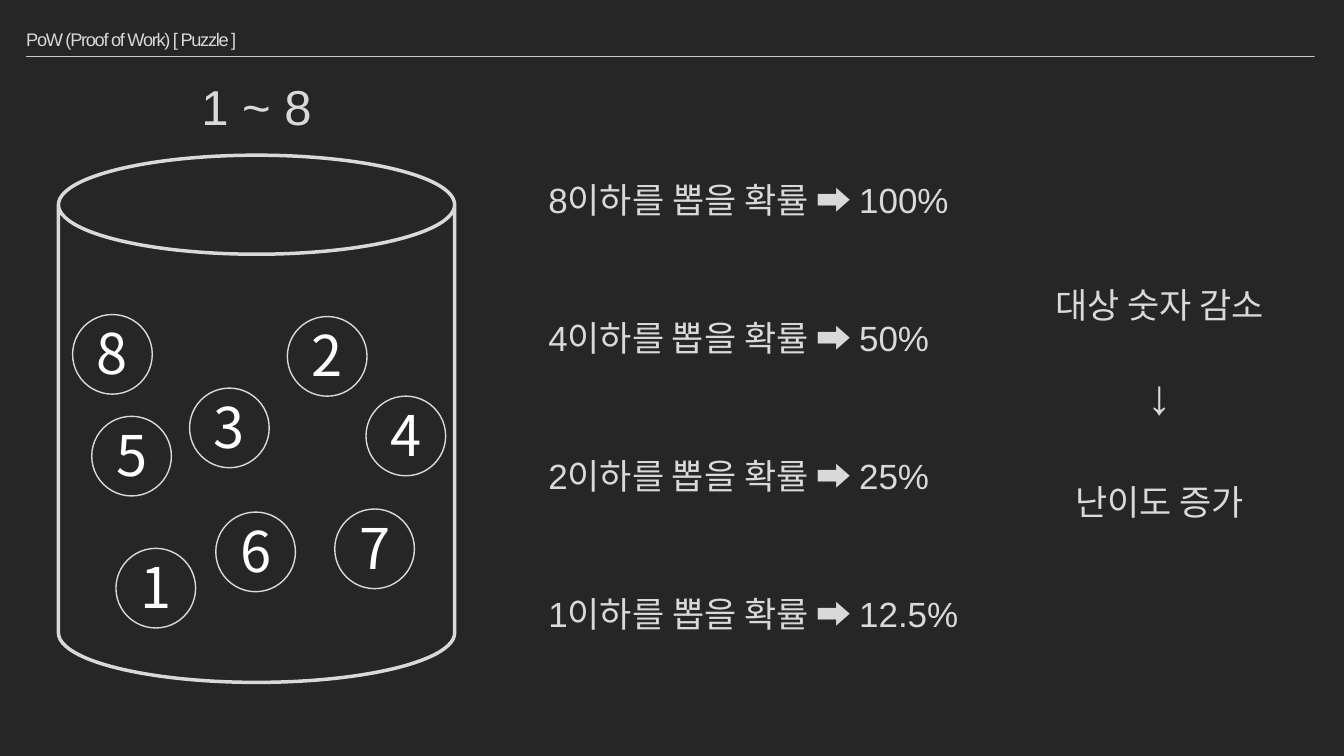
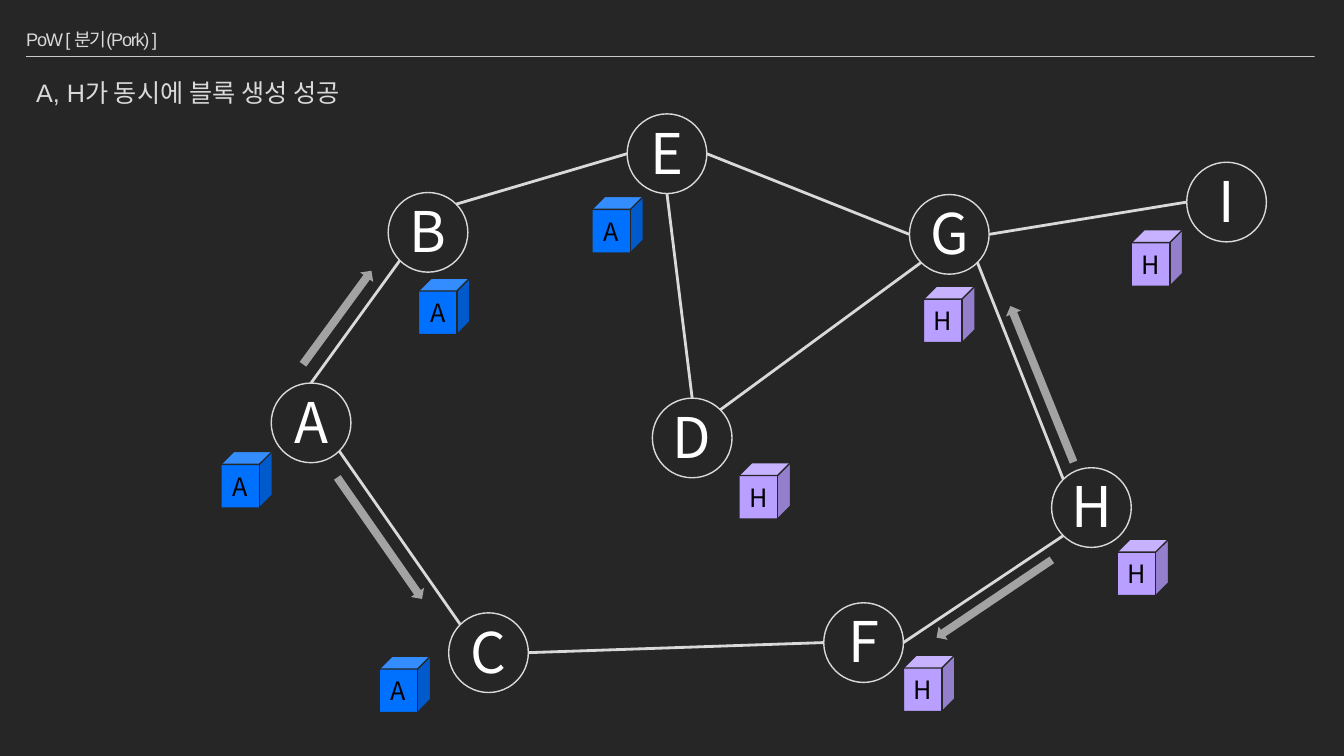
from math import cos, radians, sin

from lxml import etree
from pptx import Presentation
from pptx.dml.color import RGBColor
from pptx.enum.shapes import MSO_CONNECTOR, MSO_SHAPE
from pptx.enum.text import MSO_ANCHOR, MSO_AUTO_SIZE, PP_ALIGN
from pptx.oxml.ns import qn
from pptx.util import Inches, Pt

STRAIGHT = MSO_CONNECTOR.STRAIGHT
CAN, CIRCLE, CUBE, ARROW = MSO_SHAPE.CAN, MSO_SHAPE.OVAL, MSO_SHAPE.CUBE, MSO_SHAPE.RIGHT_ARROW
MIDDLE = MSO_ANCHOR.MIDDLE
GROW = MSO_AUTO_SIZE.SHAPE_TO_FIT_TEXT
LEFT, CENTER = PP_ALIGN.LEFT, PP_ALIGN.CENTER

COLORS = {
    "back": "262626",
    "light": "D9D9D9",
    "rule": "F2F2F2",
    "white": "FFFFFF",
    "black": "000000",
    "A": "0071FF",
    "H": "B99FFF",
}
TEXT_FONT = "Arial"
LABEL_FONT = "Noto Sans CJK KR"
CIRCLE_SIZE = 0.79
ANGLES = {
    "right": 0, "bottom right": 45, "bottom": 90, "bottom left": 135,
    "left": 180, "top left": 225, "top": 270, "top right": 315,
}


def color(name):
    return RGBColor.from_string(COLORS[name])


def set_alpha(fill_parent, percent):
    tint = next(fill_parent.iter(qn("a:srgbClr")))
    etree.SubElement(tint, qn("a:alpha")).set("val", str(percent * 1000))


def rim_point(corner, site):
    radius = CIRCLE_SIZE / 2
    angle = radians(ANGLES[site])
    return (corner[0] + radius * (1 + cos(angle)), corner[1] + radius * (1 + sin(angle)))


class SlideWriter:
    def __init__(self, deck):
        self.deck = deck
        self.page = None

    def start_page(self, title):
        self.page = self.deck.slides.add_slide(self.deck.slide_layouts[6])
        self.page.background.fill.solid()
        self.page.background.fill.fore_color.rgb = color("back")
        rule = self.line((0.26, 0.56), (13.04, 0.56), "rule", 0.5)
        set_alpha(rule.line._ln, 80)
        box = self.page.shapes.add_textbox(Inches(0.26), Inches(0.21), Inches(12.81), Inches(0.35))
        frame = box.text_frame
        frame.word_wrap = True
        frame.vertical_anchor = MIDDLE
        frame.margin_left = frame.margin_right = 0
        frame.text = title
        para = frame.paragraphs[0]
        para.line_spacing = 1.05
        self.format_para(para, 13)
        para.runs[0].font._element.set("spc", "-90")

    def format_para(self, para, size, font=TEXT_FONT, tint="light", align=LEFT, bold=None):
        para.alignment = align
        for span in para.runs:
            span.font.name = font
            span.font.size = Pt(size)
            span.font.bold = bold
            span.font.color.rgb = color(tint)

    def line(self, start, end, tint="light", width=2):
        ends = [Inches(value) for value in (*start, *end)]
        connector = self.page.shapes.add_connector(STRAIGHT, *ends)
        connector.line.color.rgb = color(tint)
        connector.line.width = Pt(width)
        etree.SubElement(connector._element.spPr, qn("a:effectLst"))
        return connector

    def text(self, left, top, width, height, words, size, align=LEFT):
        box = self.page.shapes.add_textbox(Inches(left), Inches(top), Inches(width), Inches(height))
        frame = box.text_frame
        frame.word_wrap = False
        frame.auto_size = GROW
        frame.text = words
        for para in frame.paragraphs:
            self.format_para(para, size, align=align)
        return frame

    def shape(self, kind, left, top, width, height, fill=None, outline=None, weight=1):
        shape = self.page.shapes.add_shape(
            kind, Inches(left), Inches(top), Inches(width), Inches(height))
        shape.shadow.inherit = False
        if fill:
            shape.fill.solid()
            shape.fill.fore_color.rgb = color(fill)
        else:
            shape.fill.background()
        if outline:
            shape.line.color.rgb = color(outline)
            shape.line.width = Pt(weight)
        else:
            shape.line.fill.background()
        return shape

    def label(self, shape, words, size, tint):
        frame = shape.text_frame
        frame.vertical_anchor = MIDDLE
        frame.text = words
        self.format_para(frame.paragraphs[0], size, LABEL_FONT, tint, CENTER)
        return frame

    def circle(self, words, corner):
        circle = self.shape(CIRCLE, *corner, CIRCLE_SIZE, CIRCLE_SIZE, outline="light")
        frame = self.label(circle, words, 40, "white")
        frame.margin_left = frame.margin_right = frame.margin_top = 0
        frame.margin_bottom = Inches(0.04)

    def block(self, owner, left, top):
        cube = self.shape(CUBE, left, top, 0.51, 0.56, owner, "back")
        self.label(cube, owner, 18, "black").word_wrap = False

    def arrow(self, left, top, length, rotation):
        arrow = self.shape(ARROW, left, top, length, 0.16, "light")
        arrow.rotation = rotation
        set_alpha(arrow._element.spPr, 70)


def build_puzzle(writer):
    writer.start_page("PoW (Proof of Work) [ Puzzle ]")
    writer.shape(CAN, 0.58, 1.54, 3.93, 5.23, outline="light", weight=2.5)
    balls = [(1.15, 5.44), (2.85, 3.14), (1.88, 3.85), (3.63, 3.93),
             (0.91, 4.13), (2.14, 5.08), (3.32, 5.05), (0.72, 3.12)]
    for number, corner in enumerate(balls, 1):
        writer.circle(str(number), corner)
    writer.text(1.89, 0.71, 1.31, 0.69, "1 ~ 8", 35, CENTER)

    for row, (limit, width) in enumerate([(8, 4.49), (4, 4.3), (2, 4.3), (1, 4.59)]):
        chance = f"{limit / len(balls) * 100:g}%"
        writer.text(5.34, 1.72 + 1.37 * row, width, 0.52,
                    f"{limit}이하를 뽑을 확률 ➡ {chance}", 25)

    frame = writer.text(10.2, 2.76, 2.6, 2.54, "대상 숫자 감소\n↓\n난이도 증가", 25, CENTER)
    _, down, result = frame.paragraphs
    writer.format_para(down, 35, align=CENTER, bold=True)
    down.space_before = Pt(29)
    result.space_before = Pt(40)


def build_fork(writer):
    writer.start_page("PoW [ 분기(Pork) ]")
    nodes = {
        "A": (2.69, 3.8), "B": (3.85, 1.91), "C": (4.45, 6.08),
        "D": (6.47, 3.95), "E": (6.22, 1.13), "F": (8.17, 5.98),
        "G": (9.02, 1.93), "H": (10.43, 4.64), "I": (11.77, 1.61),
    }
    for name, corner in nodes.items():
        writer.circle(name, corner)

    links = [
        ("A", "top", "B", "bottom left"),
        ("E", "left", "B", "top right"),
        ("E", "bottom", "D", "top"),
        ("A", "bottom right", "C", "top left"),
        ("C", "right", "F", "left"),
        ("F", "right", "H", "bottom left"),
        ("D", "top right", "G", "bottom left"),
        ("G", "right", "I", "left"),
        ("G", "left", "E", "right"),
        ("G", "bottom right", "H", "top left"),
    ]
    for source, source_site, target, target_site in links:
        writer.line(rim_point(nodes[source], source_site), rim_point(nodes[target], target_site))

    for arrow in [(2.77, 3.07, 1.15, 306.2), (3.03, 5.26, 1.47, 55.1),
                  (9.17, 5.86, 1.38, 146), (9.5, 3.73, 1.67, 248)]:
        writer.arrow(*arrow)

    writer.text(0.26, 0.72, 3.5, 0.4, "A, H가 동시에 블록 생성 성공", 18)

    blocks = {
        "H": [(11.08, 5.35), (8.96, 6.5), (9.16, 2.84), (11.22, 2.28), (7.33, 4.59)],
        "A": [(2.19, 4.48), (3.76, 6.51), (4.15, 2.76), (5.87, 1.95)],
    }
    for owner, corners in blocks.items():
        for corner in corners:
            writer.block(owner, *corner)


def main():
    deck = Presentation()
    deck.slide_width = Inches(13.33)
    deck.slide_height = Inches(7.5)
    writer = SlideWriter(deck)
    build_puzzle(writer)
    build_fork(writer)
    deck.save("out.pptx")


if __name__ == "__main__":
    main()
